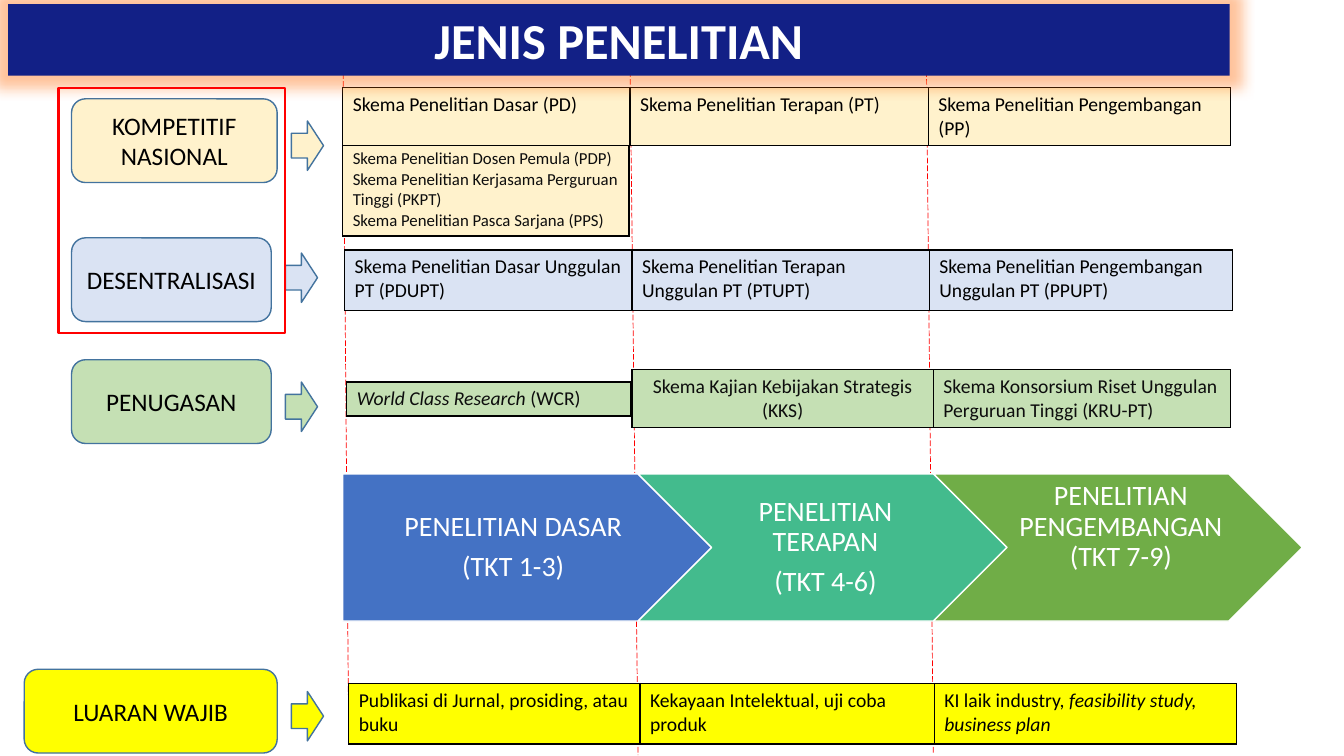
from lxml import etree
from pptx import Presentation
from pptx.dml.color import RGBColor
from pptx.enum.dml import MSO_LINE
from pptx.enum.shapes import MSO_CONNECTOR, MSO_SHAPE
from pptx.enum.text import MSO_ANCHOR, MSO_AUTO_SIZE, PP_ALIGN
from pptx.oxml.ns import qn
from pptx.util import Pt

MID, TOP = MSO_ANCHOR.MIDDLE, MSO_ANCHOR.TOP
LEFT, MIDST = PP_ALIGN.LEFT, PP_ALIGN.CENTER
RECT, ROUND = MSO_SHAPE.RECTANGLE, MSO_SHAPE.ROUNDED_RECTANGLE
ARROW, PLATE, CHEVRON = MSO_SHAPE.RIGHT_ARROW, MSO_SHAPE.PENTAGON, MSO_SHAPE.CHEVRON
STRAIGHT, DASH, FIXED = MSO_CONNECTOR.STRAIGHT, MSO_LINE.LONG_DASH, MSO_AUTO_SIZE.NONE

THEME = dict(
    font="Calibri", white="FFFFFF", black="000000", ink="0D0D0D", red="FF0000",
    navy="122086", edge="43739E", glow="FF6B08", cream="FFF2CC", sky="DAE3F3",
    leaf="C5E0B4", sun="FFFF00", blue="4472C4", teal="43BB8D", green="70AD47",
    title=36, step=20, label=18, cell=14, small=12,
)

TITLE = "JENIS PENELITIAN"
GUIDES = [(244.8, 13, 249.1, 526.3), (450, 39.6, 455.8, 539.3), (661.7, 39.6, 666.7, 537.8)]
STEPS = [
    (PLATE, "blue", ["PENELITIAN DASAR", "(TKT 1-3)"], 8.6, 4.3),
    (CHEVRON, "teal", ["PENELITIAN TERAPAN", "(TKT 4-6)"], 6.5, 4.3),
    (CHEVRON, "green", ["PENELITIAN PENGEMBANGAN (TKT 7-9)"], 6.5, 33.5),
]
LABELS = [
    ("KOMPETITIF NASIONAL", "cream", 51.1, 70.6, 146.9, 208.1, 86.4),
    ("DESENTRALISASI", "sky", 51.1, 169.9, 142.6, 203.8, 180.7),
    ("PENUGASAN", "leaf", 51.1, 257, 142.6, 203.8, 272.9),
    ("LUARAN WAJIB", "sun", 17.3, 478.1, 180.7, 208.1, 493.9),
]
TABLES = [
    ("cream", "ink", "small", LEFT, 244.8, 102.8, 64.8, [204.5], [
        ["Skema Penelitian Dosen Pemula (PDP)",
         "Skema Penelitian Kerjasama Perguruan Tinggi (PKPT)",
         "Skema Penelitian Pasca Sarjana (PPS)"]]),
    ("cream", "black", "cell", LEFT, 244.8, 62.6, 41.2, [205.2, 213.1, 216], [
        ["Skema Penelitian Dasar (PD)"],
        ["Skema Penelitian Terapan (PT)"],
        ["Skema Penelitian Pengembangan (PP)"]]),
    ("sky", "black", "cell", LEFT, 246.2, 178.6, 43.2, [205.2, 212.4, 216.7], [
        ["Skema Penelitian Dasar Unggulan PT (PDUPT)"],
        ["Skema Penelitian Terapan Unggulan PT (PTUPT)"],
        ["Skema Penelitian Pengembangan Unggulan PT (PPUPT)"]]),
    ("leaf", "ink", "cell", LEFT, 666.7, 264.2, 41.2, [212.4], [
        ["Skema Konsorsium Riset Unggulan Perguruan Tinggi (KRU-PT)"]]),
    ("leaf", "ink", "cell", MIDST, 451.4, 264.2, 41.2, [215.3], [
        ["Skema Kajian Kebijakan Strategis (KKS)"]]),
    ("leaf", "ink", "cell", LEFT, 247.7, 272.9, 24, [203], [
        ["*World Class Research* (WCR)"]]),
    ("sun", "black", "cell", LEFT, 249.1, 488.2, 43.2, [208.1, 210.2, 216], [
        ["Publikasi di Jurnal, prosiding, atau buku"],
        ["Kekayaan Intelektual, uji coba produk"],
        ["KI laik industry, *feasibility study, business plan*"]]),
]


def tint(name):
    return RGBColor.from_string(THEME[name])


def put(thing, **vals):
    for name, val in vals.items():
        setattr(thing, name, val)


def paint(shape, fill=None, line=None, width=1):
    shape.shadow.inherit = False
    if fill:
        shape.fill.solid()
        shape.fill.fore_color.rgb = tint(fill)
    else:
        shape.fill.background()
    if line:
        put(shape.line, width=Pt(width))
        shape.line.color.rgb = tint(line)
    else:
        shape.line.fill.background()


def write(frame, lines, size, ink, bold=False, **form):
    for i, text in enumerate(lines):
        para = frame.add_paragraph() if i else frame.paragraphs[0]
        put(para, **form)
        for j, part in enumerate(text.split("*")):
            if part:
                run = para.add_run()
                run.text = part
                put(run.font, name=THEME["font"], size=Pt(THEME[size]),
                    bold=bold, italic=j % 2 == 1)
                run.font.color.rgb = tint(ink)


def draw(kind, x, y, w, h, *look):
    shape = slide.shapes.add_shape(kind, Pt(x), Pt(y), Pt(w), Pt(h))
    paint(shape, *look)
    return shape


def rule(cell):
    props = cell._tc.get_or_add_tcPr()
    for side in ("lnL", "lnR", "lnT", "lnB"):
        line = etree.SubElement(props, qn("a:" + side), w=str(Pt(1)))
        fill = etree.SubElement(line, qn("a:solidFill"))
        etree.SubElement(fill, qn("a:srgbClr"), val=THEME["black"])


def grid(fill, ink, size, align, x, y, h, widths, texts):
    table = slide.shapes.add_table(
        1, len(widths), Pt(x), Pt(y), Pt(sum(widths)), Pt(h)).table
    put(table, first_row=False, horz_banding=False)
    table.rows[0].height = Pt(h)
    for i, (width, lines) in enumerate(zip(widths, texts)):
        table.columns[i].width = Pt(width)
        cell = table.cell(0, i)
        rule(cell)
        cell.fill.solid()
        cell.fill.fore_color.rgb = tint(fill)
        cell.vertical_anchor = TOP
        write(cell.text_frame, lines, size, ink, alignment=align)


def head():
    title = slide.shapes.title
    put(title, left=Pt(5.8), top=Pt(2.9), width=Pt(872.6), height=Pt(51.1))
    paint(title, "navy")
    put(title.text_frame, auto_size=FIXED, vertical_anchor=MID, word_wrap=True)
    write(title.text_frame, [TITLE], "title", "white", True,
          alignment=MIDST, line_spacing=1.0)
    glow = etree.SubElement(title._element.spPr.find(qn("a:effectLst")),
                            qn("a:glow"), rad=str(Pt(18)))
    shade = etree.SubElement(glow, qn("a:srgbClr"), val=THEME["glow"])
    etree.SubElement(shade, qn("a:alpha"), val="40000")
    slide.shapes._spTree.append(title._element)


deck = Presentation()
put(deck, slide_width=Pt(960), slide_height=Pt(540))
slide = deck.slides.add_slide(deck.slide_layouts[5])

for ends in GUIDES:
    guide = slide.shapes.add_connector(STRAIGHT, *map(Pt, ends))
    put(guide.line, width=Pt(0.5), dash_style=DASH)
    guide.line.color.rgb = tint("red")
    etree.SubElement(guide._element.spPr, qn("a:effectLst"))

for i, (kind, fill, lines, left, foot) in enumerate(STEPS):
    step = draw(kind, 244.8 + 211 * i, 338.5, 263.5, 105.1, fill, "white")
    put(step.text_frame, vertical_anchor=MID, margin_left=Pt(left), margin_right=Pt(2.2),
        margin_top=Pt(4.3), margin_bottom=Pt(foot))
    write(step.text_frame, lines, "step", "white",
          alignment=MIDST, line_spacing=0.9, space_after=Pt(7))

for row in TABLES:
    grid(*row)

for text, fill, x, y, w, tip, drop in LABELS:
    label = draw(ROUND, x, y, w, 59.8, fill, "edge")
    label.text_frame.vertical_anchor = MID
    write(label.text_frame, [text], "label", "black", alignment=MIDST)
    draw(ARROW, tip, drop, 23, 35.3, fill, "edge")

head()
draw(RECT, 41.8, 62.6, 162, 175, None, "red", 1.5)

deck.save("out.pptx")
